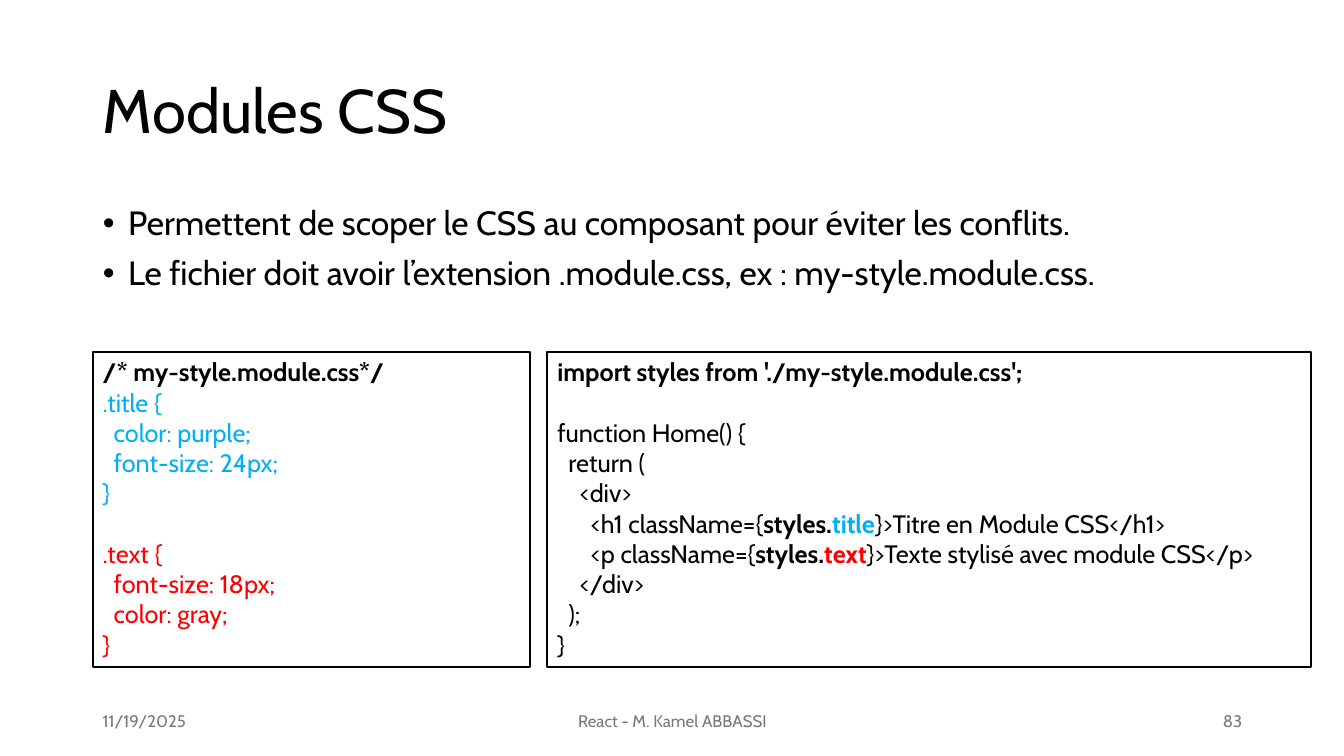
import pptx
import pptx.util
import pptx.dml.color
import pptx.enum.shapes
import pptx.enum.text
import pptx.oxml
import pptx.oxml.ns

Inches = pptx.util.Inches
Pt = pptx.util.Pt
ALIGN = pptx.enum.text.PP_ALIGN
ANCHOR = pptx.enum.text.MSO_ANCHOR
FIT = pptx.enum.text.MSO_AUTO_SIZE

FONT = "Cabin"
BLACK, WHITE, GREY = "000000", "FFFFFF", "797979"
BLUE, RED = "00B0F0", "FF0000"
LINE = 21.6
STEP = 0.11

STYLE = [
    (0, False, [("/* my-style.module.css*/", BLACK, True)]),
    (0, False, [(".title {", BLUE, False)]),
    (1, False, [("color: purple;", BLUE, False)]),
    (1, False, [("font-size: 24px;", BLUE, False)]),
    (0, False, [("}", BLUE, False)]),
    (0, True, [(".text {", RED, False)]),
    (1, False, [("font-size: 18px;", RED, False)]),
    (1, False, [("color: gray;", RED, False)]),
    (0, False, [("}", RED, False)]),
]


def markup(tag, name, tint, words):
    return [
        (f"<{tag} className={{", BLACK, False),
        ("styles.", BLACK, True),
        (name, tint, True),
        (f"}}>{words}</{tag}>", BLACK, False),
    ]


HOME = [
    (0, False, [("import styles from './my-style.module.css';", BLACK, True)]),
    (0, True, [("function Home() {", BLACK, False)]),
    (1, False, [("return (", BLACK, False)]),
    (2, False, [("<div>", BLACK, False)]),
    (3, False, markup("h1", "title", BLUE, "Titre en Module CSS")),
    (3, False, markup("p", "text", RED, "Texte stylisé avec module CSS")),
    (2, False, [("</div>", BLACK, False)]),
    (1, False, [(");", BLACK, False)]),
    (0, False, [("}", BLACK, False)]),
]


def color(text):
    return pptx.dml.color.RGBColor.from_string(text)


def format_run(run, size, tint=BLACK, bold=False):
    run.font.name = FONT
    run.font.size = Pt(size)
    run.font.bold = bold
    run.font.color.rgb = color(tint)


def place(shape, box):
    shape.left, shape.top, shape.width, shape.height = map(Inches, box)


def add_title(slide, box, text):
    title = slide.shapes.title
    place(title, box)
    frame = title.text_frame
    frame.text = text
    frame.auto_size = FIT.NONE
    frame.vertical_anchor = ANCHOR.MIDDLE
    para = frame.paragraphs[0]
    para.alignment = ALIGN.LEFT
    para.line_spacing = 0.9
    format_run(para.runs[0], 44)


def add_list(slide, box, items):
    body = slide.placeholders[1]
    place(body, box)
    frame = body.text_frame
    frame.text = "\n".join(items)
    frame.auto_size = FIT.NONE
    for para in frame.paragraphs:
        para.line_spacing = 0.9
        para.space_before = Pt(10)
        props = para._p.get_or_add_pPr()
        props.set("marL", str(Inches(0.25)))
        props.set("indent", str(Inches(-0.25)))
        space = pptx.oxml.ns.nsdecls("a")
        for mark in (f'<a:buFont {space} typeface="Arial"/>', f'<a:buChar {space} char="•"/>'):
            props.append(pptx.oxml.parse_xml(mark))
        format_run(para.runs[0], 24)


def add_code(slide, box, lines):
    kind = pptx.enum.shapes.MSO_SHAPE.RECTANGLE
    panel = slide.shapes.add_shape(kind, *map(Inches, box))
    panel.shadow.inherit = False
    panel.fill.solid()
    panel.fill.fore_color.rgb = color(WHITE)
    panel.line.color.rgb = color(BLACK)
    panel.line.width = Pt(1.5)
    frame = panel.text_frame
    frame.word_wrap = True
    frame.auto_size = FIT.SHAPE_TO_FIT_TEXT
    frame.vertical_anchor = ANCHOR.TOP
    for row, (depth, gap, parts) in enumerate(lines):
        para = frame.add_paragraph() if row else frame.paragraphs[0]
        para.alignment = ALIGN.LEFT
        para.space_before = Pt(LINE if gap else 0)
        para._p.get_or_add_pPr().set("marL", str(Inches(depth * STEP)))
        for text, tint, bold in parts:
            run = para.add_run()
            run.text = text
            format_run(run, 18, tint, bold)


def add_footer(slide, box, parts):
    left, top, width, height = box
    for start, span, text, align in parts:
        area = (left + start, top, span, height)
        frame = slide.shapes.add_textbox(*map(Inches, area)).text_frame
        frame.text = text
        frame.word_wrap = True
        frame.vertical_anchor = ANCHOR.MIDDLE
        para = frame.paragraphs[0]
        para.alignment = align
        format_run(para.runs[0], 12, GREY)


def main():
    deck = pptx.Presentation()
    deck.slide_width, deck.slide_height = Inches(13.33), Inches(7.5)
    slide = deck.slides.add_slide(deck.slide_layouts[1])
    add_title(slide, (0.92, 0.4, 11.5, 1.45), "Modules CSS")
    add_list(slide, (0.92, 2, 11.5, 1.17), [
        "Permettent de scoper le CSS au composant pour éviter les conflits.",
        "Le fichier doit avoir l’extension .module.css, ex : my-style.module.css.",
    ])
    add_footer(slide, (0.92, 6.95, 11.5, 0.4), [
        (0, 3, "11/19/2025", ALIGN.LEFT),
        (3.5, 4.5, "React - M. Kamel ABBASSI", ALIGN.CENTER),
        (8.5, 3, "83", ALIGN.RIGHT),
    ])
    add_code(slide, (0.92, 3.49, 4.34, 3.13), STYLE)
    add_code(slide, (5.43, 3.49, 7.57, 3.13), HOME)
    deck.save("out.pptx")


if __name__ == "__main__":
    main()
